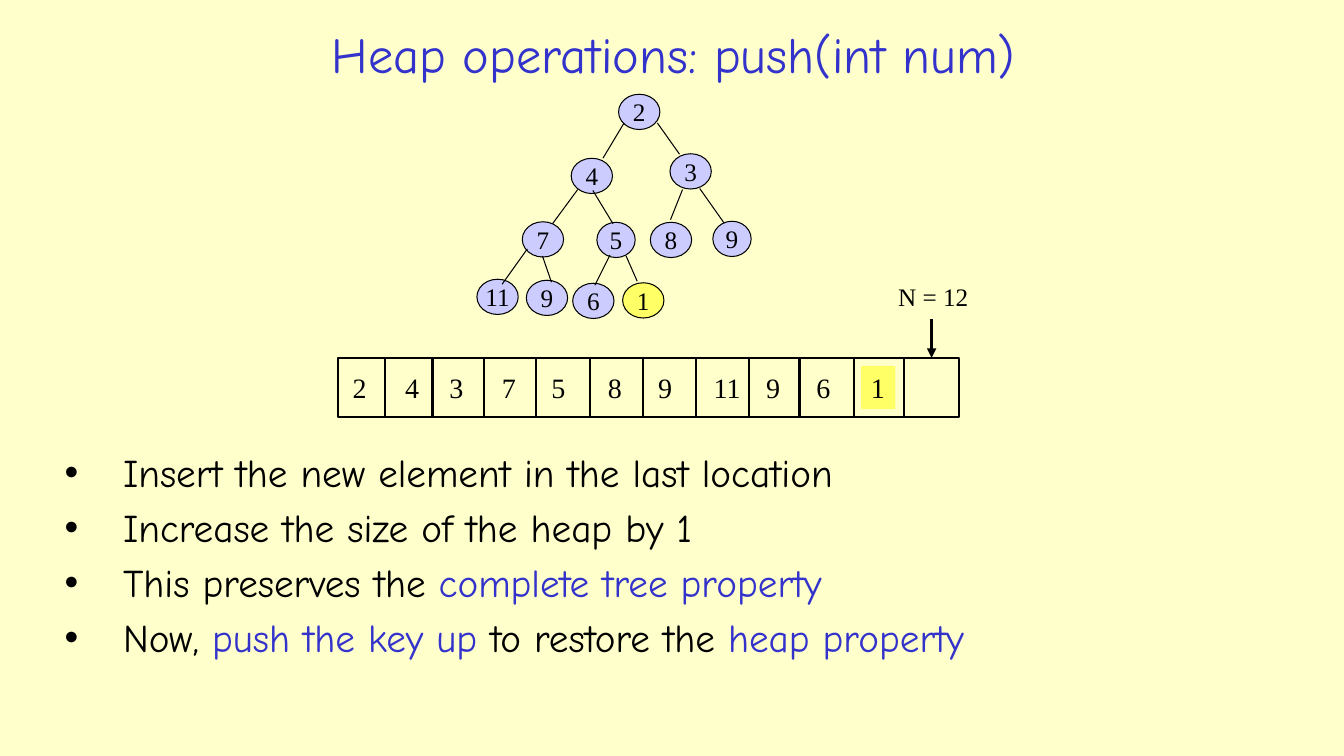
from dataclasses import dataclass

from pptx import Presentation
from pptx.dml.color import RGBColor
from pptx.enum.shapes import MSO_CONNECTOR, MSO_SHAPE
from pptx.enum.text import MSO_ANCHOR, MSO_AUTO_SIZE, PP_ALIGN
from pptx.oxml.ns import qn
from pptx.util import Inches, Pt
from lxml.etree import SubElement


@dataclass(frozen=True)
class Theme:
    paper: RGBColor = RGBColor(0xFF, 0xFF, 0xCC)
    ink: RGBColor = RGBColor(0, 0, 0)
    accent: RGBColor = RGBColor(0x33, 0x33, 0xCC)
    node: RGBColor = RGBColor(0xCC, 0xCC, 0xFF)
    new_key: RGBColor = RGBColor(0xFF, 0xFF, 0x66)
    prose_font: str = "Comic Neue"
    figure_font: str = "Times New Roman"
    title_size: int = 36
    list_size: int = 28
    key_size: int = 18
    cell_size: int = 20
    edge_width: float = 0.75
    cell_width: float = 1.5
    arrow_width: float = 2.25


THEME = Theme()
SLIDE_WIDTH, SLIDE_HEIGHT = Inches(13.33), Inches(7.5)
COLUMNS, ROWS = 133.3, 75

HEAP = [2, 4, 3, 7, 5, 8, 9, 11, 9, 6, 1]
NEW_INDEX = len(HEAP) - 1
NODE_WIDTH, NODE_HEIGHT = 4.1, 3.5

# Node centres in heap order, in grid columns and rows
NODE_CENTRES = [
    (63.4, 11.1),
    (58.7, 17.45), (68.5, 17),
    (53.85, 23.75), (61.1, 23.8), (66.55, 23.8), (72.6, 23.7),
    (49.35, 29.45), (54.25, 29.55), (58.85, 29.85), (63.8, 29.8),
]
# Ends of the edge from the parent down to each node after the root
EDGES = [
    ((61.9, 12.2), (59.8, 15.7)), ((65.2, 12.2), (67.4, 15.3)),
    ((57.3, 18.8), (54.8, 22.2)), ((58.8, 18.9), (60.8, 22.2)),
    ((67.7, 18.8), (66.5, 21.8)), ((69.4, 18.7), (71.8, 22.1)),
    ((52.3, 24.7), (49.8, 28.2)), ((53.8, 25.4), (54.7, 28)),
    ((60.5, 25.3), (59, 28.3)), ((62.1, 25.4), (63.2, 27.9)),
]
NARROW_NODES = {4, 6}

ARRAY_LEFT, ARRAY_TOP, ARRAY_WIDTH, ARRAY_HEIGHT = 33.5, 35.5, 61.6, 5.9
DIVIDERS = [38.2, 42.9, 48, 53.2, 58.5, 63.8, 69, 74.3, 79.3, 84.7, 89.7]
VALUE_LEFTS = [34, 39.2, 43.6, 48.8, 53.7, 59.3, 64.3, 69.8, 75, 80, 85.4]
VALUE_TOP = 36.3

# Each point is a list of (words, highlighted)
POINTS = [
    [("Insert the new element in the last location", False)],
    [("Increase the size of the heap by 1", False)],
    [("This preserves the ", False), ("complete tree property", True)],
    [("Now, ", False), ("push the key up", True),
     (" to restore the ", False), ("heap property", True)],
]


def col(count):
    return round(SLIDE_WIDTH * count / COLUMNS)


def row(count):
    return round(SLIDE_HEIGHT * count / ROWS)


def box(left, top, width, height):
    return col(left), row(top), col(width), row(height)


def move(placeholder, left, top, width, height):
    placeholder.left, placeholder.top, placeholder.width, placeholder.height = box(
        left, top, width, height)


def style(font, family, size, color):
    font.name, font.size = family, Pt(size)
    font.color.rgb = color


def add_line(slide, start, end, width, arrow=False):
    line = slide.shapes.add_connector(
        MSO_CONNECTOR.STRAIGHT, col(start[0]), row(start[1]), col(end[0]), row(end[1]))
    line.line.color.rgb = THEME.ink
    line.line.width = Pt(width)
    properties = line._element.spPr
    if arrow:
        SubElement(properties.find(qn("a:ln")), qn("a:tailEnd"), type="triangle")
    SubElement(properties, qn("a:effectLst"))


def add_outline(slide, preset, area, fill, width):
    outline = slide.shapes.add_shape(preset, *box(*area))
    outline.shadow.inherit = False
    if fill is None:
        outline.fill.background()
    else:
        outline.fill.solid()
        outline.fill.fore_color.rgb = fill
    outline.line.color.rgb = THEME.ink
    outline.line.width = Pt(width)
    return outline


def add_node(slide, index):
    x, y = NODE_CENTRES[index]
    width = 3.8 if index in NARROW_NODES else NODE_WIDTH
    node = add_outline(
        slide, MSO_SHAPE.OVAL,
        (x - width / 2, y - NODE_HEIGHT / 2, width, NODE_HEIGHT),
        THEME.new_key if index == NEW_INDEX else THEME.node, THEME.edge_width)
    frame = node.text_frame
    frame.word_wrap = False
    frame.vertical_anchor = MSO_ANCHOR.MIDDLE
    key = frame.paragraphs[0]
    key.text = str(HEAP[index])
    key.alignment = PP_ALIGN.CENTER
    style(key.font, THEME.figure_font, THEME.key_size, THEME.ink)


def add_label(slide, words, area, size, fill=None):
    label = slide.shapes.add_textbox(*box(*area))
    if fill is not None:
        label.fill.solid()
        label.fill.fore_color.rgb = fill
    frame = label.text_frame
    frame.word_wrap = False
    frame.auto_size = MSO_AUTO_SIZE.SHAPE_TO_FIT_TEXT
    paragraph = frame.paragraphs[0]
    paragraph.text = words
    style(paragraph.font, THEME.figure_font, size, THEME.ink)


def add_tree(slide):
    for index in range(len(HEAP)):
        add_node(slide, index)
    for start, end in EDGES:
        add_line(slide, start, end, THEME.edge_width)


def add_array(slide):
    add_outline(slide, MSO_SHAPE.RECTANGLE,
                (ARRAY_LEFT, ARRAY_TOP, ARRAY_WIDTH, ARRAY_HEIGHT),
                None, THEME.cell_width)
    for x in DIVIDERS:
        add_line(slide, (x, ARRAY_TOP), (x, ARRAY_TOP + ARRAY_HEIGHT), THEME.cell_width)
    for index, (value, left) in enumerate(zip(HEAP, VALUE_LEFTS)):
        width = 4.8 if value > 9 else 3.4
        add_label(slide, str(value), (left, VALUE_TOP, width, 4.3), THEME.cell_size,
                  THEME.new_key if index == NEW_INDEX else None)
    add_line(slide, (92.4, 31.6), (92.4, ARRAY_TOP), THEME.arrow_width, arrow=True)
    add_label(slide, "N = 12", (88.1, 27.4, 9, 4), THEME.key_size)


def fill_title(title):
    move(title, 17.8, 1.5, 98, 7.6)
    title.text_frame.vertical_anchor = MSO_ANCHOR.MIDDLE
    heading = title.text_frame.paragraphs[0]
    heading.text = "Heap operations: push(int num)"
    heading.alignment = PP_ALIGN.CENTER
    style(heading.font, THEME.prose_font, THEME.title_size, THEME.accent)


def fill_points(body):
    move(body, 5.4, 44, 121.1, 24.4)
    frame = body.text_frame
    frame.auto_size = MSO_AUTO_SIZE.NONE
    for index, point in enumerate(POINTS):
        paragraph = frame.add_paragraph() if index else frame.paragraphs[0]
        style(paragraph.font, THEME.prose_font, THEME.list_size, THEME.ink)
        indent = col(5.8)
        paragraph._p.get_or_add_pPr().set("marL", str(indent))
        paragraph._p.get_or_add_pPr().set("indent", str(-indent))
        for words, highlighted in point:
            run = paragraph.add_run()
            run.text = words
            style(run.font, THEME.prose_font, THEME.list_size,
                  THEME.accent if highlighted else THEME.ink)


def main():
    deck = Presentation()
    deck.slide_width, deck.slide_height = SLIDE_WIDTH, SLIDE_HEIGHT
    slide = deck.slides.add_slide(deck.slide_layouts[1])
    slide.background.fill.solid()
    slide.background.fill.fore_color.rgb = THEME.paper
    fill_title(slide.shapes.title)
    add_tree(slide)
    add_array(slide)
    fill_points(slide.placeholders[1])
    deck.save("out.pptx")


if __name__ == "__main__":
    main()
